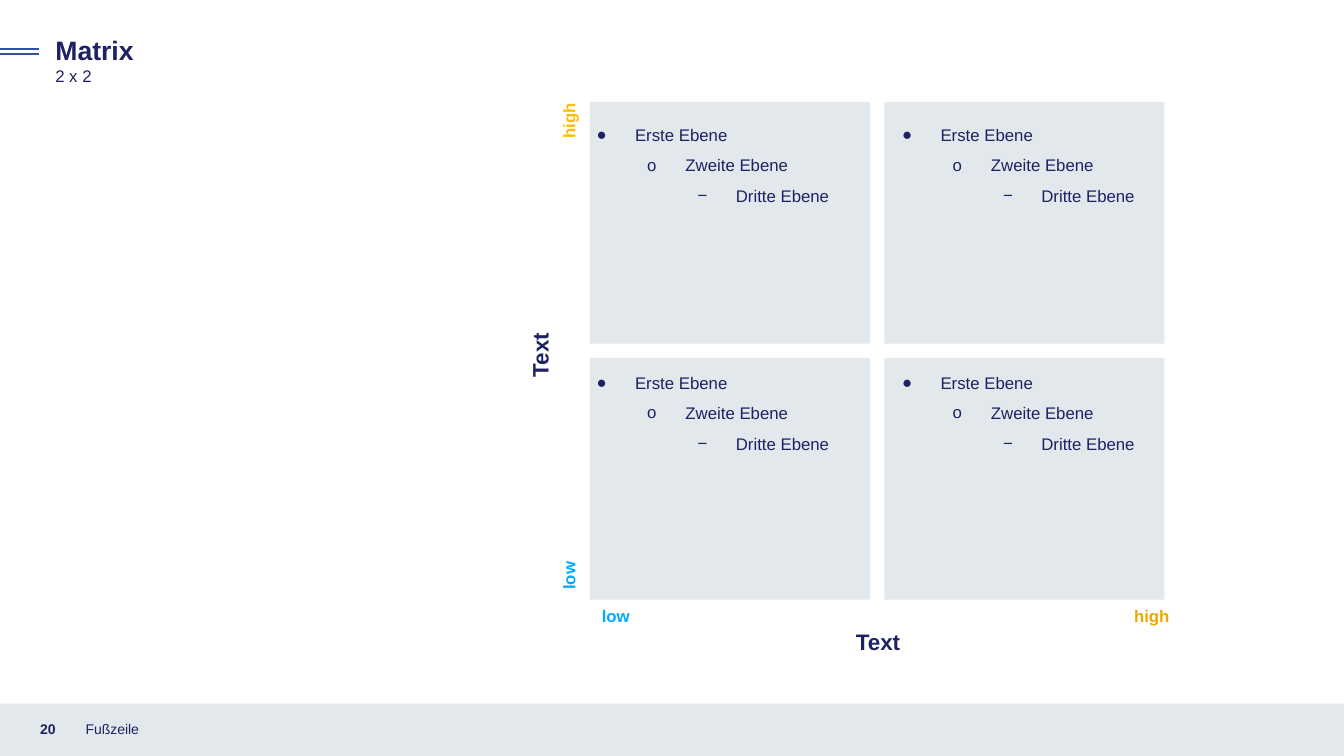
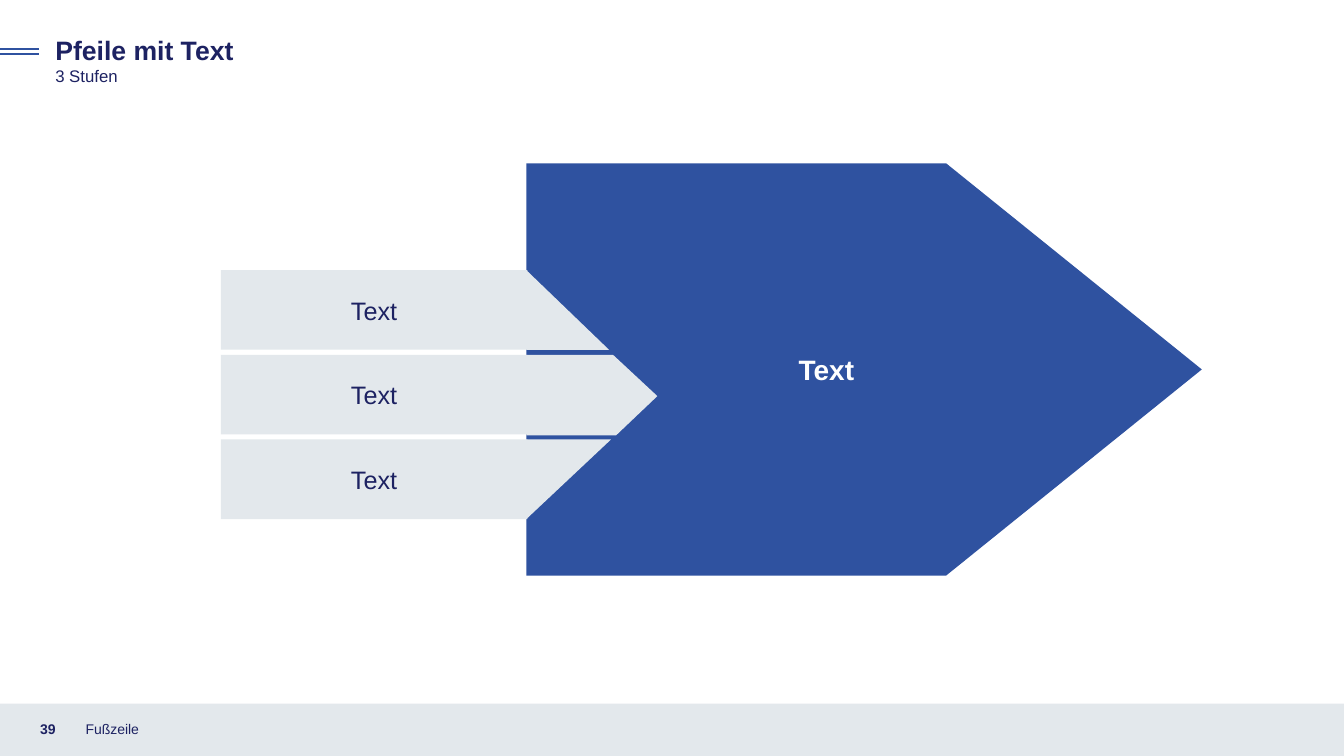
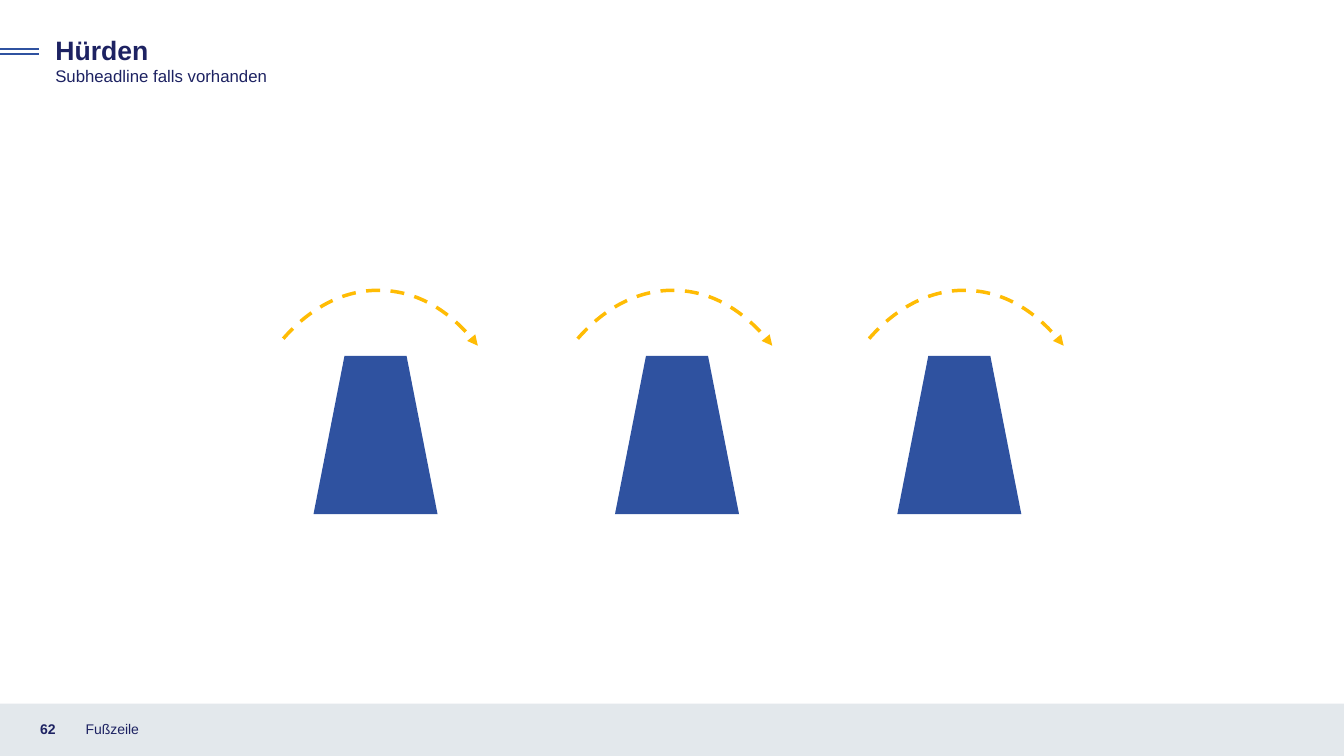
import pptx
import pptx.dml.color
import pptx.enum.dml
import pptx.enum.shapes
import pptx.enum.text
import pptx.oxml.ns
import pptx.util
from lxml import etree

Inches = pptx.util.Inches
Pt = pptx.util.Pt
qn = pptx.oxml.ns.qn
SHAPE = pptx.enum.shapes.MSO_SHAPE
ALIGN = pptx.enum.text.PP_ALIGN
ANCHOR = pptx.enum.text.MSO_ANCHOR
AUTO_SIZE = pptx.enum.text.MSO_AUTO_SIZE

WIDTH, HEIGHT = 13.33, 7.5
NAVY, BLUE, GREY, WHITE = "1D2262", "2F52A0", "E3E8EC", "FFFFFF"
YELLOW, OCHRE, SKY = "FFBC04", "EBA804", "00AAFF"

FOOTER = "Fußzeile"
BAND_TOP = 6.98
TITLE_RULES = [0.49, 0.54]

LEVELS = [("●", "Erste Ebene"), ("o", "Zweite Ebene"), ("−", "Dritte Ebene")]
AXIS_LABELS = [
    ("high", (5.36, 1.04, 0.56, 0.3), 270, 12, YELLOW),
    ("low", (5.4, 5.56, 0.48, 0.3), 270, 12, SKY),
    ("Text", (5.03, 3.33, 0.65, 0.37), 270, 16, NAVY),
    ("high", (11.15, 5.96, 0.56, 0.3), 0, 12, OCHRE),
    ("low", (5.87, 5.96, 0.48, 0.3), 0, 12, SKY),
    ("Text", (8.39, 6.18, 0.65, 0.37), 0, 16, NAVY),
]

STAGES = [
    ("Text", [(5.22, 2.68), (6.04, 3.47), (5.22, 3.47)]),
    ("Text", [(5.22, 3.52), (6.08, 3.52), (6.52, 3.93), (6.11, 4.32), (5.22, 4.32)]),
    ("Text", [(5.22, 4.36), (6.06, 4.36), (5.22, 5.15)]),
]
GOAL = "Text"

HURDLES = [(3.11, 2.81), (6.1, 5.73), (8.9, 8.62)]
JUMP = [(0, 3.36), (0.27, 3.05), (0.6, 2.88), (0.94, 2.88),
        (1.3, 2.88), (1.66, 3.08), (1.93, 3.43)]


def color(value):
    return pptx.dml.color.RGBColor.from_string(value)


def apply(target, **values):
    for name, value in values.items():
        setattr(target, name, value)


def box(*lengths):
    return [Inches(length) for length in lengths]


def write(paragraph, text, size, ink=NAVY, bold=False):
    run = paragraph.add_run()
    run.text = text
    apply(run.font, name="Arial", size=Pt(size), bold=bold)
    run.font.color.rgb = color(ink)


def paint(shape, fill):
    shape.shadow.inherit = False
    shape.fill.solid()
    shape.fill.fore_color.rgb = color(fill)
    shape.line.fill.background()
    return shape


def add_block(slide, kind, place, fill):
    return paint(slide.shapes.add_shape(kind, *box(*place)), fill)


def add_label(slide, text, place, size, ink=NAVY, bold=False, **frame):
    label = slide.shapes.add_textbox(*box(*place))
    apply(label.text_frame, **{"word_wrap": True, **frame})
    write(label.text_frame.paragraphs[0], text, size, ink, bold)
    return label


def center_text(shape, text, size, ink, bold=False):
    shape.text_frame.vertical_anchor = ANCHOR.MIDDLE
    paragraph = shape.text_frame.paragraphs[0]
    paragraph.alignment = ALIGN.CENTER
    write(paragraph, text, size, ink, bold)


def outline(slide, points, close):
    start, *rest = [box(*point) for point in points]
    builder = slide.shapes.build_freeform(*start)
    builder.add_line_segments(rest, close=close)
    return builder.convert_to_shape()


def add_slide(deck, number, headline, subheadline):
    slide = deck.slides.add_slide(deck.slide_layouts[5])
    add_block(slide, SHAPE.RECTANGLE, (0, BAND_TOP, WIDTH, HEIGHT - BAND_TOP), GREY)
    add_label(slide, number, (0.3, 7.03, 0.45, 0.4), 10, bold=True,
              vertical_anchor=ANCHOR.MIDDLE)
    add_label(slide, FOOTER, (0.75, 7.03, 4.5, 0.4), 10, vertical_anchor=ANCHOR.MIDDLE)

    title = slide.shapes.title
    left, top, width, height = box(0.45, 0.29, 7.72, 0.42)
    apply(title, left=left, top=top, width=width, height=height)
    apply(title.text_frame, vertical_anchor=ANCHOR.TOP, word_wrap=True,
          auto_size=AUTO_SIZE.NONE)
    title.text_frame.paragraphs[0].alignment = ALIGN.LEFT
    write(title.text_frame.paragraphs[0], headline, 19, bold=True)
    add_label(slide, subheadline, (0.45, 0.6, 3.46, 0.3), 12)

    for y in TITLE_RULES:
        rule = slide.shapes.add_connector(
            pptx.enum.shapes.MSO_CONNECTOR.STRAIGHT, *box(0, y, 0.39, y))
        rule.line.color.rgb = color(BLUE)
        rule.line.width = Pt(1.5)
        etree.SubElement(rule._element.spPr, qn("a:effectLst"))
    return slide


def add_levels(slide, place):
    frame = slide.shapes.add_textbox(*box(*place)).text_frame
    frame.word_wrap = True
    for level, (bullet, text) in enumerate(LEVELS):
        paragraph = frame.add_paragraph() if level else frame.paragraphs[0]
        properties = paragraph._p.get_or_add_pPr()
        properties.set("marL", str(Inches(0.38 + 0.5 * level)))
        properties.set("indent", str(Inches(-0.38)))
        etree.SubElement(properties, qn("a:buFont"), typeface="Arial")
        etree.SubElement(properties, qn("a:buChar"), char=bullet)
        apply(paragraph, level=level, line_spacing=1.5)
        write(paragraph, text, 12)


def build_matrix(deck):
    slide = add_slide(deck, "20", "Matrix", "2 x 2")
    for row in range(2):
        for column in range(2):
            add_block(slide, SHAPE.RECTANGLE,
                      (5.85 + 2.92 * column, 1.01 + 2.54 * row, 2.78, 2.4), GREY)
            add_levels(slide, (5.82 + 3.03 * column, 1.09 + 2.46 * row, 2.81, 2.24))
    for text, place, rotation, size, ink in AXIS_LABELS:
        label = add_label(slide, text, place, size, ink, True, word_wrap=False,
                          auto_size=AUTO_SIZE.SHAPE_TO_FIT_TEXT)
        label.rotation = rotation


def build_arrows(deck):
    slide = add_slide(deck, "39", "Pfeile mit Text", "3 Stufen")
    goal = add_block(slide, SHAPE.PENTAGON, (5.22, 1.62, 6.7, 4.09), BLUE)
    goal.adjustments[0] = 0.62
    apply(goal.text_frame, margin_left=Inches(0.52), margin_right=0)
    center_text(goal, GOAL, 20, WHITE, True)
    for index, (text, tip) in enumerate(STAGES):
        paint(outline(slide, tip, True), GREY)
        stage = add_block(slide, SHAPE.RECTANGLE,
                          (2.19, 2.68 + 0.84 * index, 3.04, 0.79), GREY)
        center_text(stage, text, 18, NAVY)


def add_jump(slide, left):
    jump = outline(slide, [(left + x, y) for x, y in JUMP], False)
    segments = list(jump._element.iter(qn("a:lnTo")))
    for first in range(0, len(segments), 3):
        curve = etree.Element(qn("a:cubicBezTo"))
        segments[first].addprevious(curve)
        for segment in segments[first:first + 3]:
            curve.append(segment[0])
            segment.getparent().remove(segment)
    jump.shadow.inherit = False
    jump.fill.background()
    jump.line.color.rgb = color(YELLOW)
    apply(jump.line, width=Pt(2.5), dash_style=pptx.enum.dml.MSO_LINE.DASH)
    etree.SubElement(jump.line._get_or_add_ln(), qn("a:tailEnd"), type="triangle")


def build_hurdles(deck):
    slide = add_slide(deck, "62", "Hürden", "Subheadline falls vorhanden")
    for hurdle_left, jump_left in HURDLES:
        add_jump(slide, jump_left)
        add_block(slide, SHAPE.TRAPEZOID, (hurdle_left, 3.53, 1.23, 1.57), BLUE)


def main():
    deck = pptx.Presentation()
    apply(deck, slide_width=Inches(WIDTH), slide_height=Inches(HEIGHT))
    build_matrix(deck)
    build_arrows(deck)
    build_hurdles(deck)
    deck.save("out.pptx")


if __name__ == "__main__":
    main()
